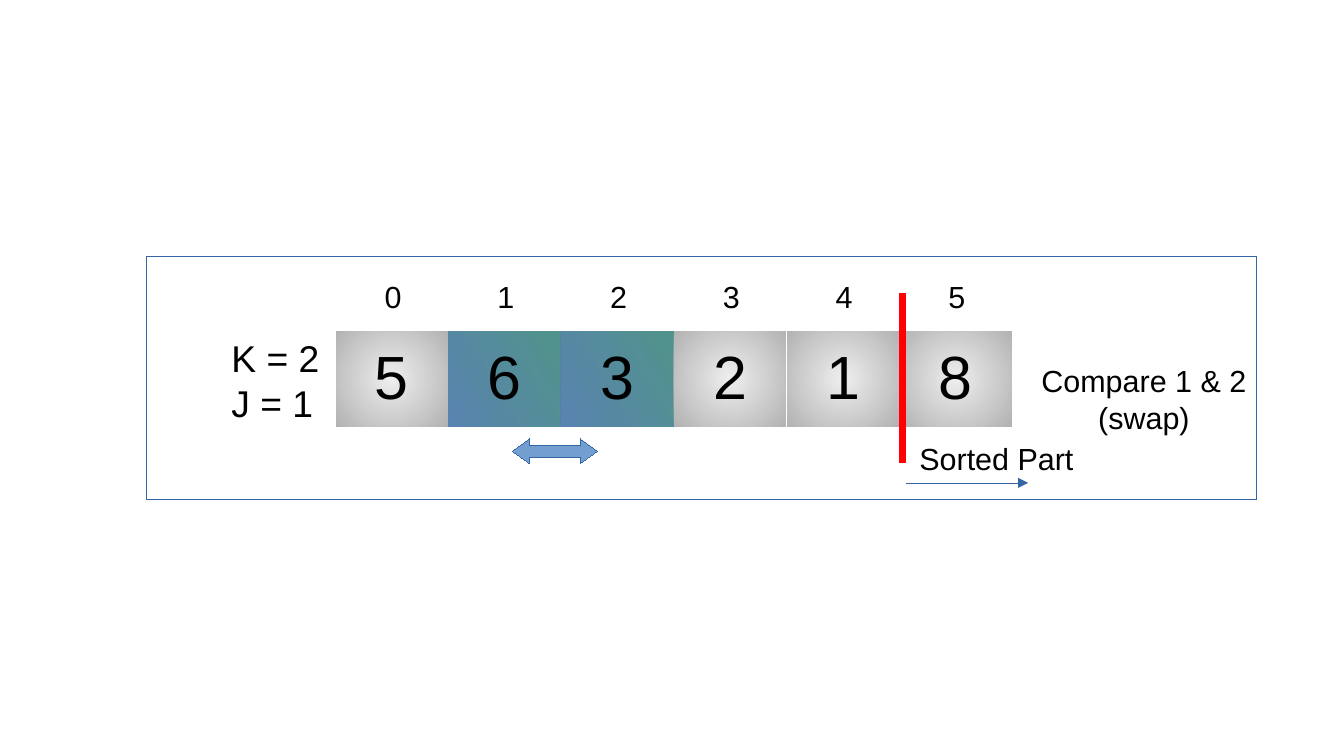
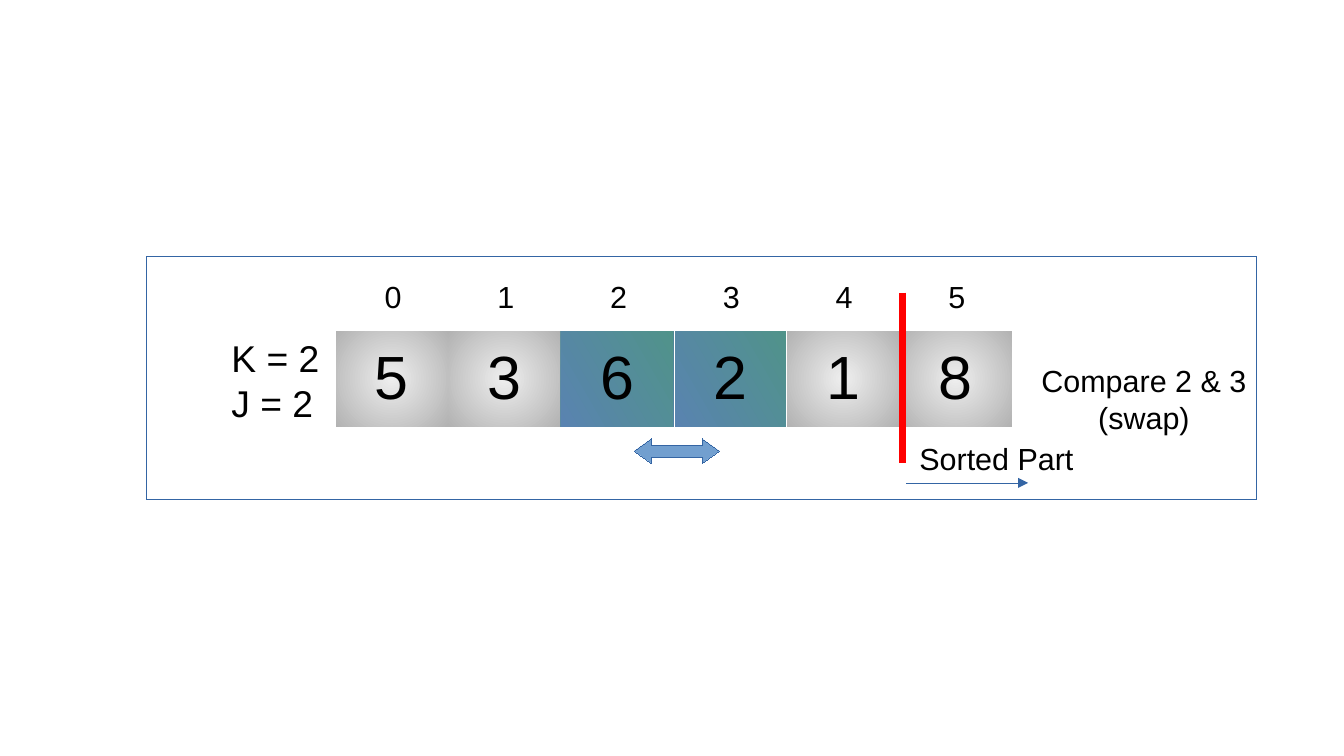
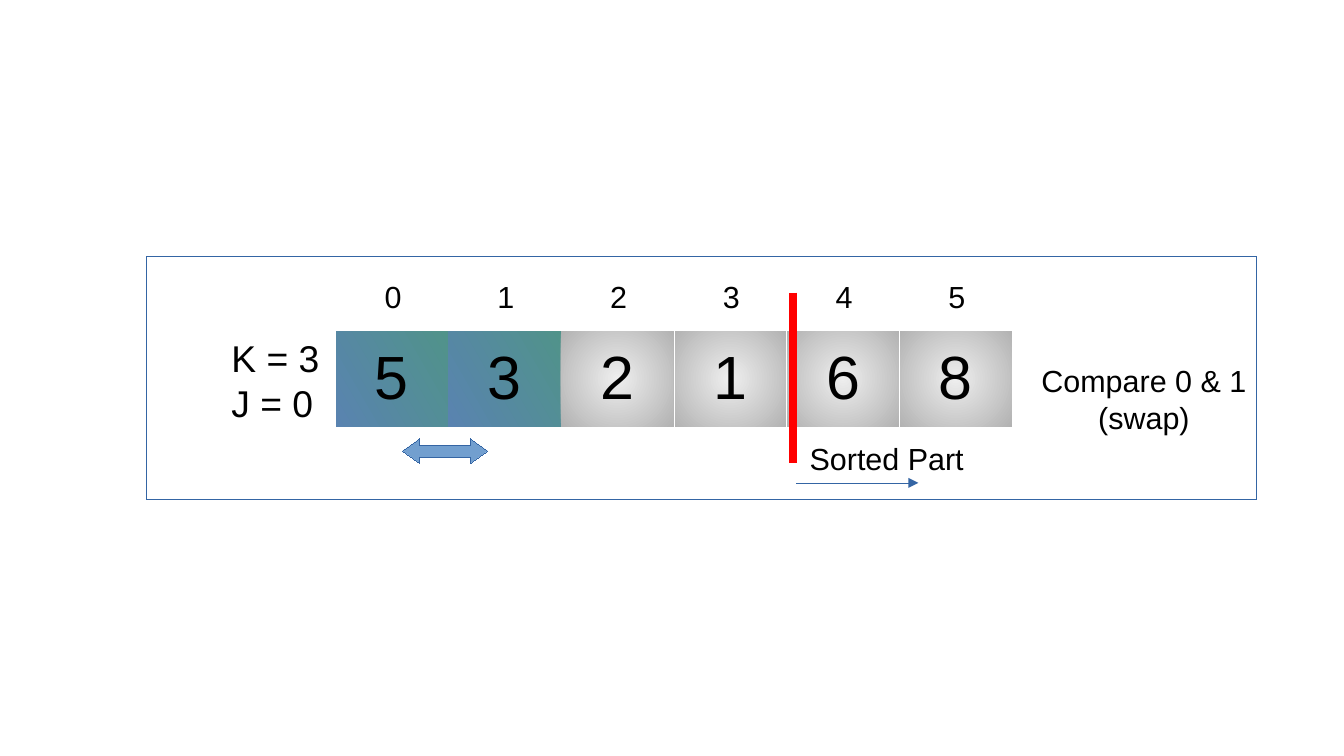
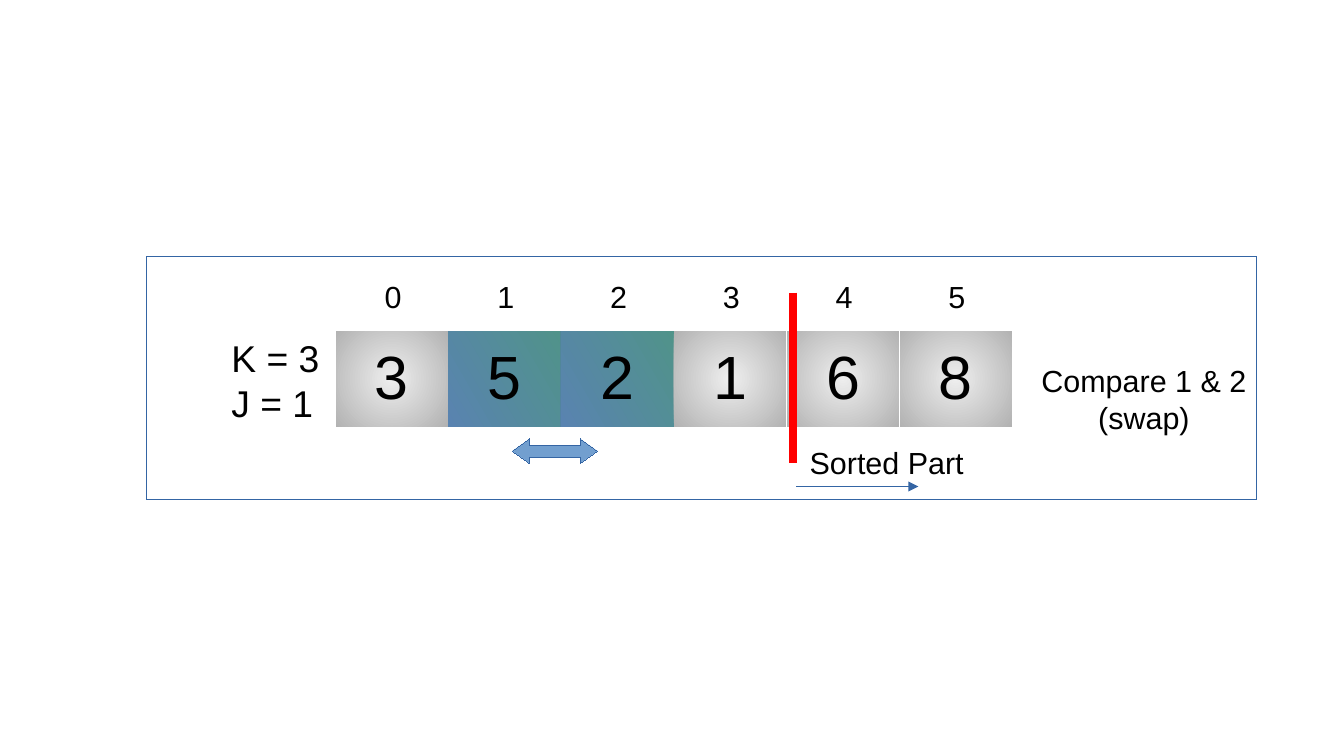
from dataclasses import dataclass

from lxml import etree
from pptx import Presentation
from pptx.dml.color import RGBColor
from pptx.enum import shapes, text
from pptx.oxml.ns import qn
from pptx.util import Inches, Pt


@dataclass(frozen=True)
class Theme:
    font: str = "Arial"
    ink: str = "000000"
    paper: str = "FFFFFF"
    edge: str = "3465A4"
    arrow: str = "729FCF"
    wall: str = "FF0000"
    plain: tuple = ("EEEEEE", "B2B2B2")
    active: tuple = ("50938A", "5983B0")
    label: int = 18
    state: int = 22
    value: int = 36
    hair: float = 0.01
    thick: float = 4.5


THEME = Theme()
PANEL = (1.2, 2.1, 9.1, 2)
COUNT = 6
ROW = (5.55, 0.79)
NO_STYLE = "{2D5ABB26-0587-4C30-8999-92F81FD0307C}"
LEFT, CENTER = text.PP_ALIGN.LEFT, text.PP_ALIGN.CENTER
SWAP_X = (2.1, 3, 4)  # arrow offset for each J


def rgb(code):
    return RGBColor.from_string(code)


def sub(node, tag, **attrs):
    return etree.SubElement(node, qn(tag), {k: str(v) for k, v in attrs.items()})


def write(frame, lines, size, align=LEFT):
    for i, line in enumerate(lines):
        para = frame.add_paragraph() if i else frame.paragraphs[0]
        para.alignment = align
        run = para.add_run()
        run.text = line
        run.font.name = THEME.font
        run.font.size = Pt(size)
        run.font.color.rgb = rgb(THEME.ink)


def add_label(slide, box, lines, size, align=LEFT):
    frame = slide.shapes.add_textbox(*map(Inches, box)).text_frame
    frame.word_wrap = True
    write(frame, lines, size, align)


def add_block(slide, kind, box, fill):
    block = slide.shapes.add_shape(kind, *map(Inches, box))
    block.shadow.inherit = False
    block.fill.solid()
    block.fill.fore_color.rgb = rgb(fill)
    block.line.color.rgb = rgb(THEME.edge)
    block.line.width = Pt(THEME.hair)
    return block


def add_line(slide, start, end, color, width, head=False):
    line = slide.shapes.add_connector(
        shapes.MSO_CONNECTOR.STRAIGHT, *map(Inches, (*start, *end)))
    line.line.color.rgb = rgb(color)
    line.line.width = Pt(width)
    props = line._element.spPr
    if head:
        sub(props.find(qn("a:ln")), "a:tailEnd", type="triangle")
    sub(props, "a:effectLst")


def add_row(slide, left, top, items, size, anchor):
    """Add a one-row table without style and return its cells."""
    frame = slide.shapes.add_table(1, COUNT, *map(Inches, (left, top, *ROW)))
    frame._element.find(".//" + qn("a:tableStyleId")).text = NO_STYLE
    table = frame.table
    table.first_row = table.horz_banding = False
    for column in table.columns:
        column.width = Inches(ROW[0] / COUNT)
    cells = list(table.rows[0].cells)
    for cell, item in zip(cells, items):
        cell.vertical_anchor = anchor
        write(cell.text_frame, [str(item)], size, CENTER)
    return cells


def paint(cell, colors, radial, sides):
    """Give a cell hairline white sides and a two-colour gradient."""
    props = cell._tc.get_or_add_tcPr()
    for side in sides:
        line = sub(props, "a:ln" + side, w=720)
        sub(sub(line, "a:solidFill"), "a:srgbClr", val=THEME.paper)
    grad = sub(props, "a:gradFill", rotWithShape=0)
    stops = sub(grad, "a:gsLst")
    for pos, color in zip((0, 100000), colors):
        sub(sub(stops, "a:gs", pos=pos), "a:srgbClr", val=color)
    if radial:
        ring = sub(grad, "a:path", path="circle")
        sub(ring, "a:fillToRect", l=50000, t=50000, r=50000, b=50000)
    else:
        sub(grad, "a:lin", ang=150 * 60000, scaled=0)


def add_array(slide, left, top, values, j, seams):
    """Draw the values; a seam is a cell with a white line on its right."""
    cells = add_row(slide, left + 1.55, top + 0.61, values, THEME.value,
                    text.MSO_ANCHOR.MIDDLE)
    for i, cell in enumerate(cells):
        sides = ["L"] if i == 0 or i - 1 in seams else []
        sides += ["R"] if i == COUNT - 1 or i in seams else []
        busy = i in (j, j + 1)
        paint(cell, THEME.active if busy else THEME.plain, not busy, sides + ["T"])
    for cell in add_row(slide, left + 1.56, top - 0.26, range(COUNT),
                        THEME.label, text.MSO_ANCHOR.BOTTOM):
        cell.fill.background()


def add_sorted(slide, left, top, k, drop):
    """Draw the wall before the sorted part, with its label and arrow."""
    x = left + 8 - 0.9 * k
    y = top + 1.86 + drop
    add_line(slide, (x, top + 0.3), (x, top + 1.7), THEME.wall, THEME.thick)
    add_line(slide, (x + 0.03, y), (x + 1.03, y), THEME.edge, THEME.hair, head=True)
    add_label(slide, (x + 0.04, y - 0.4, 1.7, 0.38), ["Sorted Part"], THEME.label)


def add_step(deck, box, values, k, j, seams, drop=0):
    slide = deck.slides.add_slide(deck.slide_layouts[6])
    left, top = box[:2]
    add_block(slide, shapes.MSO_SHAPE.RECTANGLE, box, THEME.paper)
    add_array(slide, left, top, values, j, seams)
    add_label(slide, (left + 0.6, top + 0.6, 1, 0.78),
              [f"K = {k}", f"J = {j}"], THEME.state)
    add_label(slide, (left + 7.18, top + 0.82, 2, 0.66),
              [f"Compare {j} & {j + 1}", "(swap)"], THEME.label, CENTER)
    swap = add_block(slide, shapes.MSO_SHAPE.LEFT_RIGHT_ARROW,
                     (left + SWAP_X[j], top + 1.5, 0.7, 0.2), THEME.arrow)
    swap.adjustments[0], swap.adjustments[1] = 0.5, 0.7
    add_sorted(slide, left, top, k, drop)


def main():
    deck = Presentation()
    deck.slide_width, deck.slide_height = Inches(11.02), Inches(6.2)
    add_step(deck, PANEL, (5, 6, 3, 2, 1, 8), 2, 1, {3, 4})
    add_step(deck, PANEL, (5, 3, 6, 2, 1, 8), 2, 2, {2, 4})
    add_step(deck, PANEL, (5, 3, 2, 1, 6, 8), 3, 0, {2, 3, 4})
    add_step(deck, PANEL, (3, 5, 2, 1, 6, 8), 3, 1, {3, 4}, drop=0.03)
    deck.save("out.pptx")


if __name__ == "__main__":
    main()
